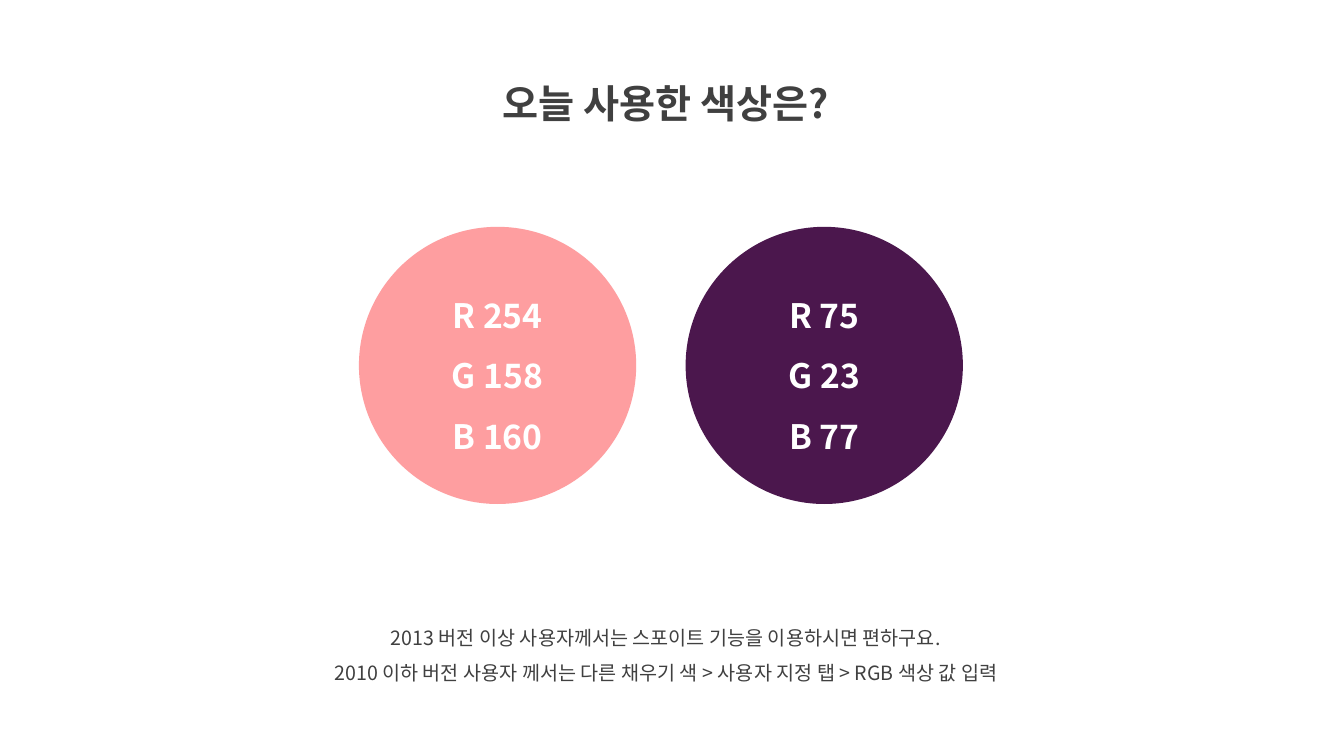
from dataclasses import dataclass

from lxml import etree
from pptx import Presentation
from pptx import util as u
from pptx.dml.color import RGBColor
from pptx.enum import shapes, text
from pptx.oxml import ns

EMU_PER_PX = 9144


@dataclass(frozen=True)
class Theme:
    font: str = "Noto Sans CJK KR"
    ink: str = "404040"
    white: str = "FFFFFF"
    title: int = 28
    swatch: int = 24
    note: int = 14
    line_spacing: float = 1.5


THEME = Theme()
TITLE = ["오늘 사용한 색상은?"]
NOTES = [
    "2013 버전 이상 사용자께서는 스포이트 기능을 이용하시면 편하구요.",
    "2010 이하 버전 사용자 께서는 다른 채우기 색 > 사용자 지정 탭 > RGB 색상 값 입력",
]
SWATCHES = [(254, 158, 160), (75, 23, 77)]
SWATCH_LEFT, SWATCH_TOP, SWATCH_SIZE, SWATCH_STEP = 356, 225, 275, 324


def px(*lengths):
    return [u.Emu(length * EMU_PER_PX) for length in lengths]


def write_lines(frame, lines, size, color, bold=False):
    frame.word_wrap = True
    for index, line in enumerate(lines):
        para = frame.add_paragraph() if index else frame.paragraphs[0]
        para.alignment = text.PP_ALIGN.CENTER
        para.line_spacing = THEME.line_spacing
        span = para.add_run()
        span.text = line
        span.font.size = u.Pt(size)
        span.font.bold = bold
        span.font.color.rgb = RGBColor.from_string(color)
        span.font.name = THEME.font
        east_asian = etree.SubElement(span._r.get_or_add_rPr(), ns.qn("a:ea"))
        east_asian.set("typeface", THEME.font)


def add_caption(page, bounds, lines, size, bold=False):
    box = page.shapes.add_textbox(*px(*bounds))
    write_lines(box.text_frame, lines, size, THEME.ink, bold)
    box.text_frame.auto_size = text.MSO_AUTO_SIZE.SHAPE_TO_FIT_TEXT


def add_swatch(page, left, rgb):
    bounds = px(left, SWATCH_TOP, SWATCH_SIZE, SWATCH_SIZE)
    circle = page.shapes.add_shape(shapes.MSO_SHAPE.OVAL, *bounds)
    circle.shadow.inherit = False
    circle.fill.solid()
    circle.fill.fore_color.rgb = RGBColor(*rgb)
    circle.line.fill.background()
    circle.text_frame.vertical_anchor = text.MSO_ANCHOR.MIDDLE
    lines = [f"{channel} {value}" for channel, value in zip("RGB", rgb)]
    write_lines(circle.text_frame, lines, THEME.swatch, THEME.white, bold=True)


def main():
    deck = Presentation()
    deck.slide_width, deck.slide_height = px(1333, 750)
    page = deck.slides.add_slide(deck.slide_layouts[6])
    add_caption(page, (429, 50, 463, 72), TITLE, THEME.title, bold=True)
    add_caption(page, (261, 604, 799, 81), NOTES, THEME.note)
    for index, rgb in enumerate(SWATCHES):
        add_swatch(page, SWATCH_LEFT + index * SWATCH_STEP, rgb)
    deck.save("out.pptx")


if __name__ == "__main__":
    main()
